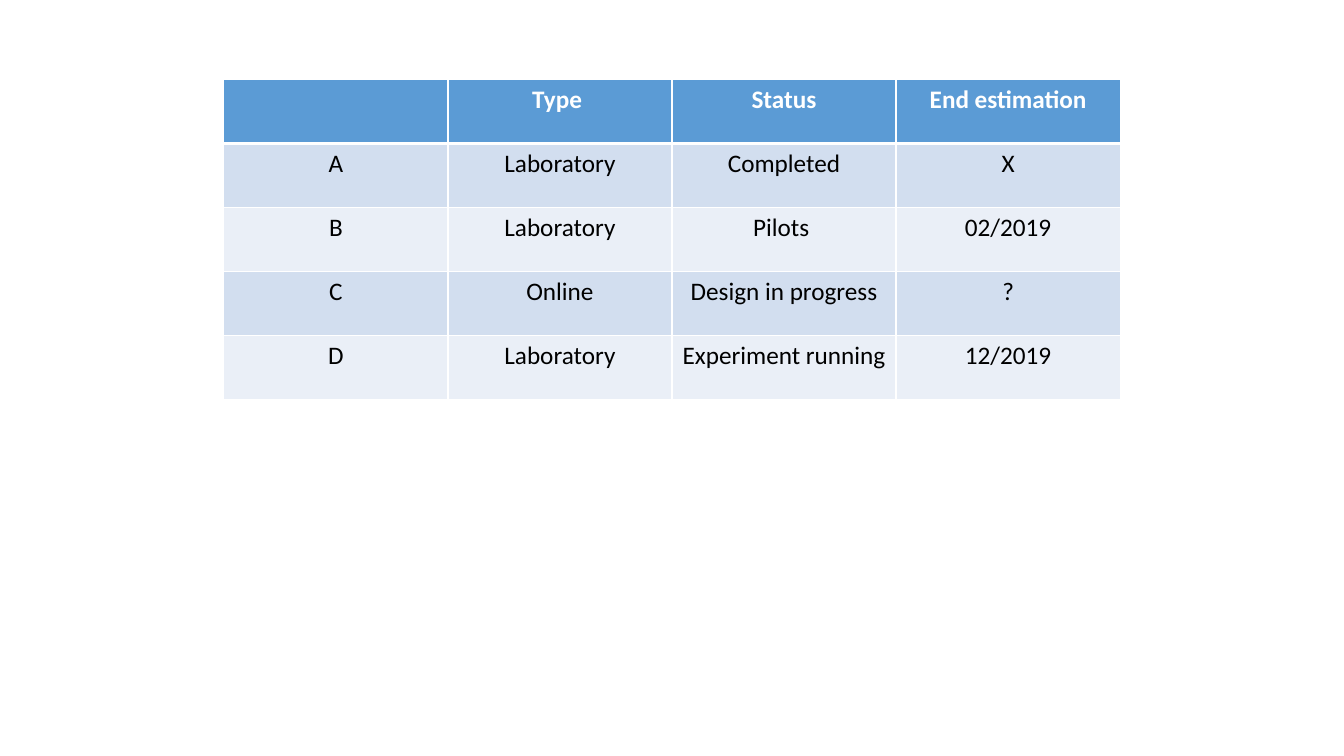
"""Build a slide with a status table of four experiments."""
from dataclasses import astuple, dataclass

from lxml.etree import SubElement
from pptx import Presentation
from pptx.dml.color import RGBColor as Rgb
from pptx.enum.text import PP_ALIGN as Align
from pptx.oxml.ns import qn
from pptx.slide import Slide
from pptx.table import _Cell as Cell
from pptx.util import Inches, Pt


@dataclass(frozen=True)
class Theme:
    font: str = "Calibri"
    size: int = 18
    header_fill: str = "5B9BD5"
    band_fills: tuple[str, str] = ("D2DEEF", "EAEFF7")
    header_text: str = "FFFFFF"
    body_text: str = "000000"
    border: str = "FFFFFF"
    thin: int = 1
    thick: int = 3


@dataclass(frozen=True)
class Experiment:
    label: str
    kind: str
    status: str
    end: str


THEME = Theme()
HEADER = Experiment("", "Type ", "Status", "End estimation")
EXPERIMENTS = (
    Experiment("A", "Laboratory", "Completed", "X"),
    Experiment("B", "Laboratory", "Pilots ", "02/2019"),
    Experiment("C", "Online", "Design in progress", "?"),
    Experiment("D", "Laboratory", "Experiment running", "12/2019"),
)
LEFT, TOP, WIDTH, HEIGHT = Inches(2.22), Inches(0.79), Inches(8.89), Inches(3.17)


def add_borders(cell: Cell, top: int, bottom: int) -> None:
    properties = cell._tc.get_or_add_tcPr()
    widths = {"L": THEME.thin, "R": THEME.thin, "T": top, "B": bottom}
    for side, width in widths.items():
        line = SubElement(properties, qn(f"a:ln{side}"), w=str(Pt(width)))
        fill = SubElement(line, qn("a:solidFill"))
        SubElement(fill, qn("a:srgbClr"), val=THEME.border)


def fill_cell(cell: Cell, text: str, row: int) -> None:
    is_header = row == 0
    add_borders(
        cell,
        top=THEME.thick if row == 1 else THEME.thin,
        bottom=THEME.thick if is_header else THEME.thin,
    )
    background = THEME.header_fill if is_header else THEME.band_fills[(row - 1) % 2]
    cell.fill.solid()
    cell.fill.fore_color.rgb = Rgb.from_string(background)
    paragraph = cell.text_frame.paragraphs[0]
    paragraph.alignment = Align.CENTER
    if text:
        run = paragraph.add_run()
        run.text = text
        run.font.name = THEME.font
        run.font.size = Pt(THEME.size)
        run.font.bold = is_header
        color = THEME.header_text if is_header else THEME.body_text
        run.font.color.rgb = Rgb.from_string(color)


def add_status_table(slide: Slide) -> None:
    records = [astuple(record) for record in (HEADER, *EXPERIMENTS)]
    table = slide.shapes.add_table(
        len(records), len(records[0]), LEFT, TOP, WIDTH, HEIGHT
    ).table
    for row, record in enumerate(records):
        for column, text in enumerate(record):
            fill_cell(table.cell(row, column), text, row)


def main() -> None:
    deck = Presentation()
    deck.slide_width, deck.slide_height = Inches(13.33), Inches(7.5)
    add_status_table(deck.slides.add_slide(deck.slide_layouts[6]))
    deck.save("out.pptx")


if __name__ == "__main__":
    main()
